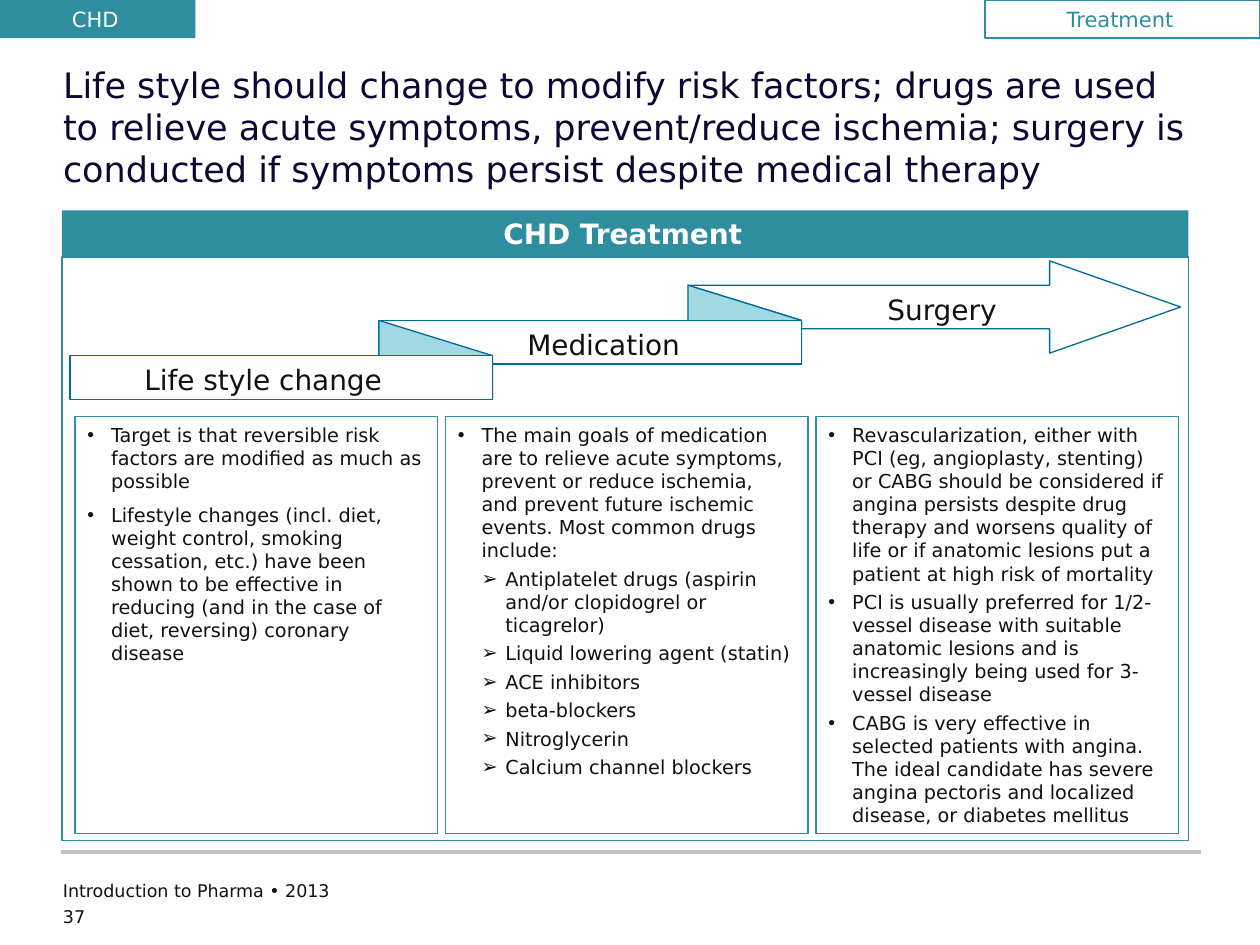
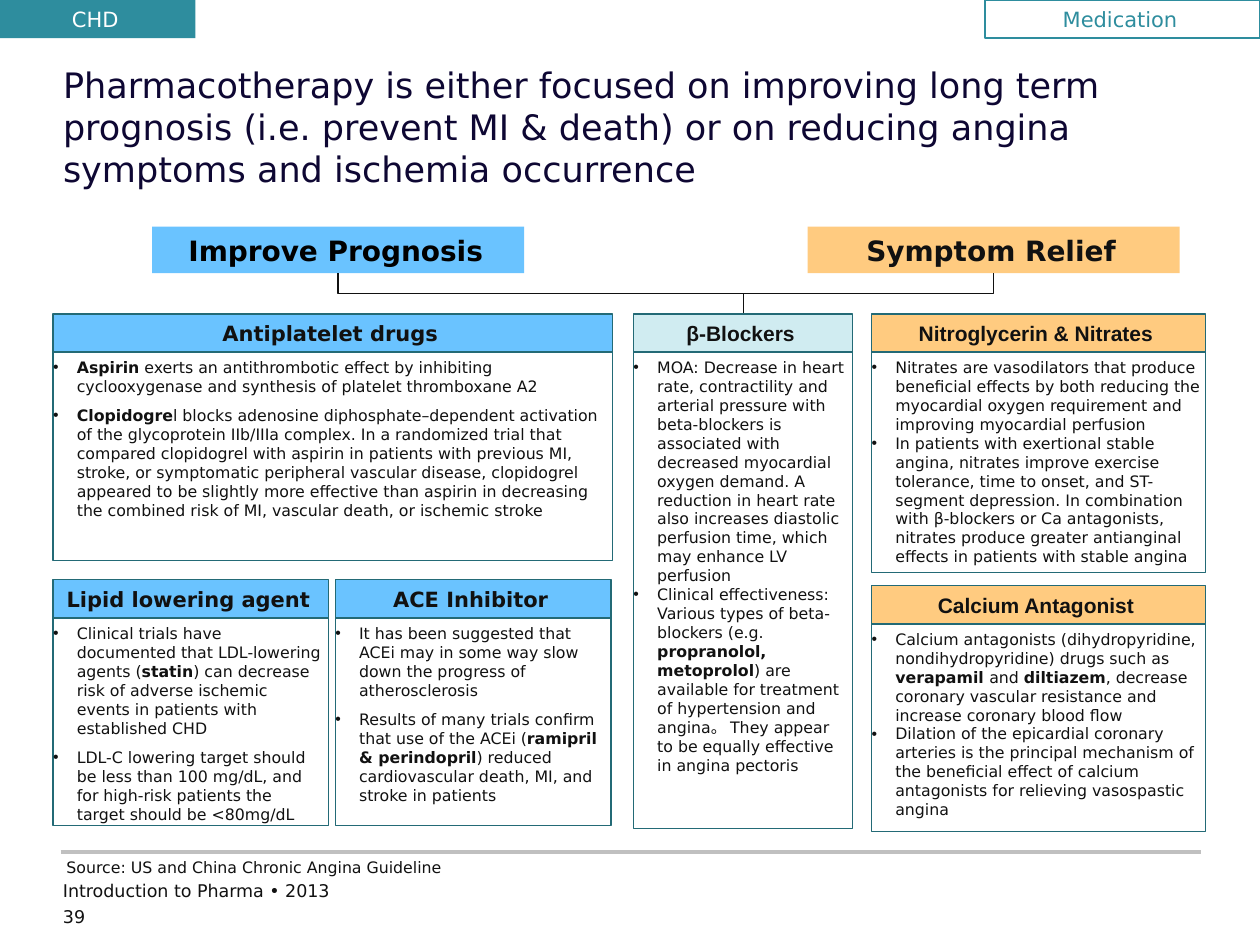
from lxml.etree import SubElement
from pptx import Presentation
from pptx.dml.color import RGBColor
from pptx.enum.shapes import MSO_CONNECTOR, MSO_SHAPE
from pptx.enum.text import MSO_ANCHOR, MSO_AUTO_SIZE, PP_ALIGN
from pptx.oxml.ns import qn
from pptx.util import Cm, Pt

TEAL = RGBColor(0x2E, 0x8D, 0x9E)
PINE = RGBColor(0x23, 0x6A, 0x76)
SEA = RGBColor(0x00, 0x6C, 0x96)
AQUA = RGBColor(0xA0, 0xD9, 0xE3)
ICE = RGBColor(0xD0, 0xEC, 0xF1)
SKY = RGBColor(0x6A, 0xC3, 0xFF)
PEACH = RGBColor(0xFF, 0xCB, 0x80)
NAVY = RGBColor(0x0E, 0x07, 0x33)
INK = RGBColor(0x11, 0x11, 0x11)
BLACK = RGBColor(0, 0, 0)
GREY = RGBColor(0xC0, 0xC0, 0xC0)
WHITE = RGBColor(0xFF, 0xFF, 0xFF)

SANS = "DejaVu Sans"
ARIAL = "Arial"
INSET = (0.25, 0.13, 0.25, 0.13)
TIGHT = (0, 0.13, 0.1, 0.13)
NONE = (0, 0, 0, 0)
HANG = 0.48

GOALS = [
    "Target is that reversible risk factors are modified as much as possible",
    "Lifestyle changes (incl. diet, weight control, smoking cessation, etc.) have been "
    "shown to be effective in reducing (and in the case of diet, reversing) coronary disease",
]
DRUGS = [
    "The main goals of medication are to relieve acute symptoms, prevent or reduce ischemia, "
    "and prevent future ischemic events. Most common drugs include:",
    "➢Antiplatelet drugs (aspirin and/or clopidogrel or ticagrelor)",
    "➢Liquid lowering agent (statin)",
    "➢ACE inhibitors",
    "➢beta-blockers",
    "➢Nitroglycerin",
    "➢Calcium channel blockers",
]
SURGERY = [
    "Revascularization, either with PCI (eg, angioplasty, stenting) or CABG should be "
    "considered if angina persists despite drug therapy and worsens quality of life or if "
    "anatomic lesions put a patient at high risk of mortality",
    "PCI is usually preferred for 1/2-vessel disease with suitable anatomic lesions and is "
    "increasingly being used for 3-vessel disease",
    "CABG is very effective in selected patients with angina. The ideal candidate has severe "
    "angina pectoris and localized disease, or diabetes mellitus",
]
PLATELET = [
    "*Aspirin* exerts an antithrombotic effect by inhibiting cyclooxygenase and synthesis of "
    "platelet thromboxane A2",
    "*Clopidogre*l blocks adenosine diphosphate–dependent activation of the glycoprotein "
    "IIb/IIIa complex. In a randomized trial that compared clopidogrel with aspirin in "
    "patients with previous MI, stroke, or symptomatic peripheral vascular disease, "
    "clopidogrel appeared to be slightly more effective than aspirin in decreasing the "
    "combined risk of MI, vascular death, or ischemic stroke",
]
LIPID = [
    "Clinical trials have documented that LDL-lowering agents (*statin*) can decrease risk of "
    "adverse ischemic events in patients with established CHD",
    "LDL-C lowering target should be less than 100 mg/dL, and for high-risk patients the "
    "target should be <80mg/dL",
]
ACE = [
    "It has been suggested that ACEi may in some way slow down the progress of atherosclerosis",
    "Results of many trials confirm that use of the ACEi (*ramipril & perindopril*) reduced "
    "cardiovascular death, MI, and stroke in patients",
]
BETA = [
    "MOA: Decrease in heart rate, contractility and arterial pressure with beta-blockers is "
    "associated with decreased myocardial oxygen demand. A reduction in heart rate also "
    "increases diastolic perfusion time, which may enhance LV perfusion",
    "Clinical effectiveness: Various types of beta-blockers (e.g. *propranolol, metoprolol*) "
    "are available for treatment of hypertension and angina。 They appear to be equally "
    "effective in angina pectoris",
]
NITRATE = [
    "Nitrates are vasodilators that produce beneficial effects by both reducing the "
    "myocardial oxygen requirement and improving myocardial perfusion",
    "In patients with exertional stable angina, nitrates improve exercise tolerance, time to "
    "onset, and ST-segment depression. In combination with β-blockers or Ca antagonists, "
    "nitrates produce greater antianginal effects in patients with stable angina",
]
CALCIUM = [
    "Calcium antagonists (dihydropyridine, nondihydropyridine) drugs such as *verapamil *and "
    "*diltiazem*, decrease coronary vascular resistance and increase coronary blood flow",
    "Dilation of the epicardial coronary arteries is the principal mechanism of the "
    "beneficial effect of calcium antagonists for relieving vasospastic angina",
]


def style(run, size, color=INK, bold=False, font=SANS):
    """Format one run."""
    run.font.size = Pt(size)
    run.font.color.rgb = color
    run.font.bold = bold
    run.font.name = font


def paint(shape, fill=None, line=None):
    """Set fill and outline, and drop the shadow."""
    shape.shadow.inherit = False
    if fill is None:
        shape.fill.background()
    else:
        shape.fill.solid()
        shape.fill.fore_color.rgb = fill
    if line is None:
        shape.line.fill.background()
    else:
        shape.line.color.rgb = line
        shape.line.width = Pt(0.75)


def setup(frame, pads, anchor):
    """Set wrapping, insets and anchor of a text frame."""
    frame.word_wrap = True
    frame.auto_size = MSO_AUTO_SIZE.NONE
    frame.vertical_anchor = anchor
    (frame.margin_left, frame.margin_top,
     frame.margin_right, frame.margin_bottom) = map(Cm, pads)


def block(slide, box, fill=None, line=None):
    """Add a plain rectangle."""
    shape = slide.shapes.add_shape(MSO_SHAPE.RECTANGLE, *map(Cm, box))
    paint(shape, fill, line)
    return shape


def band(slide, box, text, size, color, fill=None, line=None, bold=True, font=SANS):
    """Add a rectangle with one centred line."""
    frame = block(slide, box, fill, line).text_frame
    setup(frame, TIGHT, MSO_ANCHOR.MIDDLE)
    frame.text = text
    frame.paragraphs[0].alignment = PP_ALIGN.CENTER
    style(frame.paragraphs[0].runs[0], size, color, bold, font)


def label(slide, box, text, size, anchor=MSO_ANCHOR.TOP):
    """Add a text box without insets."""
    frame = slide.shapes.add_textbox(*map(Cm, box)).text_frame
    setup(frame, NONE, anchor)
    frame.text = text
    style(frame.paragraphs[0].runs[0], size)


def listing(slide, box, items, size, gap, line, pads=INSET):
    """Add an outlined bullet list; asterisks enclose bold words."""
    frame = block(slide, box, line=line).text_frame
    setup(frame, pads, MSO_ANCHOR.TOP)
    for i, item in enumerate(items):
        para = frame.add_paragraph() if i else frame.paragraphs[0]
        para.alignment = PP_ALIGN.LEFT
        sub = item.startswith("➢")
        props = para._p.get_or_add_pPr()
        props.set("marL", str(Cm(2 * HANG if sub else HANG)))
        props.set("indent", str(-Cm(HANG)))
        SubElement(props, qn("a:buFont"), typeface=ARIAL)
        SubElement(props, qn("a:buChar"), char="➢" if sub else "•")
        para.space_before = Pt(gap if i else 0)
        for j, part in enumerate(item.lstrip("➢").split("*")):
            if part:
                run = para.add_run()
                run.text = part
                style(run, size, bold=j % 2 == 1)


def rule(slide, kind, ends, color, width):
    """Add a connector without shadow."""
    link = slide.shapes.add_connector(kind, *map(Cm, ends))
    link.line.color.rgb = color
    link.line.width = Pt(width)
    SubElement(link._element.spPr, qn("a:effectLst"))
    return link


def elbow(slide, x1, y1, x2, y2):
    """Join two points by a bent line that leaves downwards."""
    mid, level = (x1 + x2) / 2, (y1 + y2) / 2
    right = x2 > x1
    high, wide = (y2 - y1) / 2, abs(x2 - x1) / 2
    side = high if right else -high
    ends = (mid + side, level - wide, mid - side, level + wide)
    link = rule(slide, MSO_CONNECTOR.ELBOW, ends, INK, 1)
    link._element.spPr.find(qn("a:xfrm")).set("rot", "16200000" if right else "5400000")


def outline(slide, x, y, points, fill):
    """Draw a closed outline from points relative to x, y."""
    spots = [(Cm(x + dx), Cm(y + dy)) for dx, dy in points]
    pen = slide.shapes.build_freeform(*spots[0])
    pen.add_line_segments(spots[1:], close=True)
    paint(pen.convert_to_shape(), fill, SEA)


def base(deck, title, topic, number):
    """Add a slide with title, corner tabs and footer."""
    slide = deck.slides.add_slide(deck.slide_layouts[5])
    head = slide.shapes.title
    head.left, head.top, head.width, head.height = map(Cm, (1.27, 1.27, 22.86, 2.54))
    setup(head.text_frame, NONE, MSO_ANCHOR.TOP)
    head.text_frame.text = title
    head.text_frame.paragraphs[0].alignment = PP_ALIGN.LEFT
    style(head.text_frame.paragraphs[0].runs[0], 20, NAVY)
    band(slide, (0, 0, 3.94, 0.77), "CHD", 12, WHITE, TEAL, bold=False)
    band(slide, (19.86, 0, 5.54, 0.77), topic, 12, TEAL, line=TEAL, bold=False)
    rule(slide, MSO_CONNECTOR.STRAIGHT, (1.22, 17.17, 24.21, 17.17), GREY, 2)
    label(slide, (1.27, 17.75, 16.97, 0.5), "Introduction to Pharma • 2013", 10)
    label(slide, (1.27, 18.26, 1.22, 0.5), number, 10)
    return slide


def ribbon(slide, x, y):
    """Draw the folded ribbon that rises from its lowest bar at x, y."""
    step, rise, wide, high = 6.23, 0.71, 8.52, 0.88
    lap = wide - step
    arrow = [(0, 0), (7.29, 0), (7.29, -0.49), (9.93, high / 2), (7.29, high + 0.49),
             (7.29, high), (lap, high), (lap, rise)]
    fold = [(0, 0), (lap, rise), (lap, rise + high), (0, high)]
    bar = [(0, 0), (wide, 0), (wide, high), (0, high)]
    outline(slide, x + 2 * step, y - 2 * rise, arrow, WHITE)
    for i in (1, 0):
        outline(slide, x + (i + 1) * step, y - (i + 1) * rise, fold, AQUA)
        outline(slide, x + i * step, y - i * rise, bar, WHITE)
    names = [("Life style change", 1.5), ("Medication", 9.22), ("Surgery", 16.48)]
    for i, (name, left) in enumerate(names):
        label(slide, (x + left, y - i * rise + 0.04, 6.9, high), name, 16, MSO_ANCHOR.MIDDLE)


def panel(slide, x, y, w, h):
    """Add the framed treatment panel with ribbon and columns."""
    top = 0.94
    band(slide, (x, y, w, top), "CHD Treatment", 16, WHITE, TEAL)
    block(slide, (x, y + top, w, h - top), line=TEAL)
    ribbon(slide, x + 0.16, y + 2.93)
    for i, (items, gap) in enumerate([(GOALS, 6), (DRUGS, 3), (SURGERY, 3)]):
        listing(slide, (x + 0.26 + i * 7.47, y + 4.16, 7.31, 8.41), items, 11, gap, TEAL)


def card(slide, box, head, fill, items, gap=0, font=ARIAL):
    """Add a bullet list under a coloured heading."""
    x, y, w, h = box
    listing(slide, (x, y + 0.75, w, h - 0.75), items, 9, gap, PINE, TIGHT)
    band(slide, (x, y, w, 0.77), head, 12, INK, fill, PINE, font=font)


def tree(slide, x, y):
    """Add both aims, their links and the drug cards."""
    wide, high, row = 7.5, 0.94, 1.76
    hub = x + 13.92
    aims = [("Improve Prognosis", 2, SKY, BLACK), ("Symptom Relief", 15.21, PEACH, INK)]
    for name, left, fill, color in aims:
        band(slide, (x + left, y, wide, high), name, 16, color, fill)
        elbow(slide, x + left + wide / 2, y + high, hub, y + row)
    top, low = y + row, y + 7.12
    card(slide, (x, top, 11.28, 4.97), "Antiplatelet drugs", SKY, PLATELET, 6, SANS)
    card(slide, (x, low, 5.56, 4.96), "Lipid lowering agent", SKY, LIPID, 6, SANS)
    card(slide, (x + 5.69, low, 5.56, 4.96), "ACE Inhibitor", SKY, ACE, 6, SANS)
    card(slide, (x + 11.7, top, 4.42, 10.37), "β-Blockers", ICE, BETA)
    card(slide, (x + 16.5, top, 6.73, 5.21), "Nitroglycerin & Nitrates", PEACH, NITRATE)
    card(slide, (x + 16.5, low + 0.12, 6.73, 4.96), "Calcium Antagonist", PEACH, CALCIUM)


def main():
    """Build and save the deck."""
    deck = Presentation()
    deck.slide_width, deck.slide_height = Cm(25.4), Cm(19.05)
    slide = base(deck, "Life style should change to modify risk factors; drugs are used to "
                 "relieve acute symptoms, prevent/reduce ischemia; surgery is conducted if "
                 "symptoms persist despite medical therapy", "Treatment", "37")
    panel(slide, 1.25, 4.24, 22.71, 12.7)
    slide = base(deck, "Pharmacotherapy is either focused on improving long term prognosis "
                 "(i.e. prevent MI & death) or on reducing angina symptoms and ischemia "
                 "occurrence", "Medication", "39")
    tree(slide, 1.07, 4.57)
    label(slide, (1.34, 17.3, 12, 0.4), "Source: US and China Chronic Angina Guideline", 9)
    deck.save("out.pptx")


if __name__ == "__main__":
    main()
